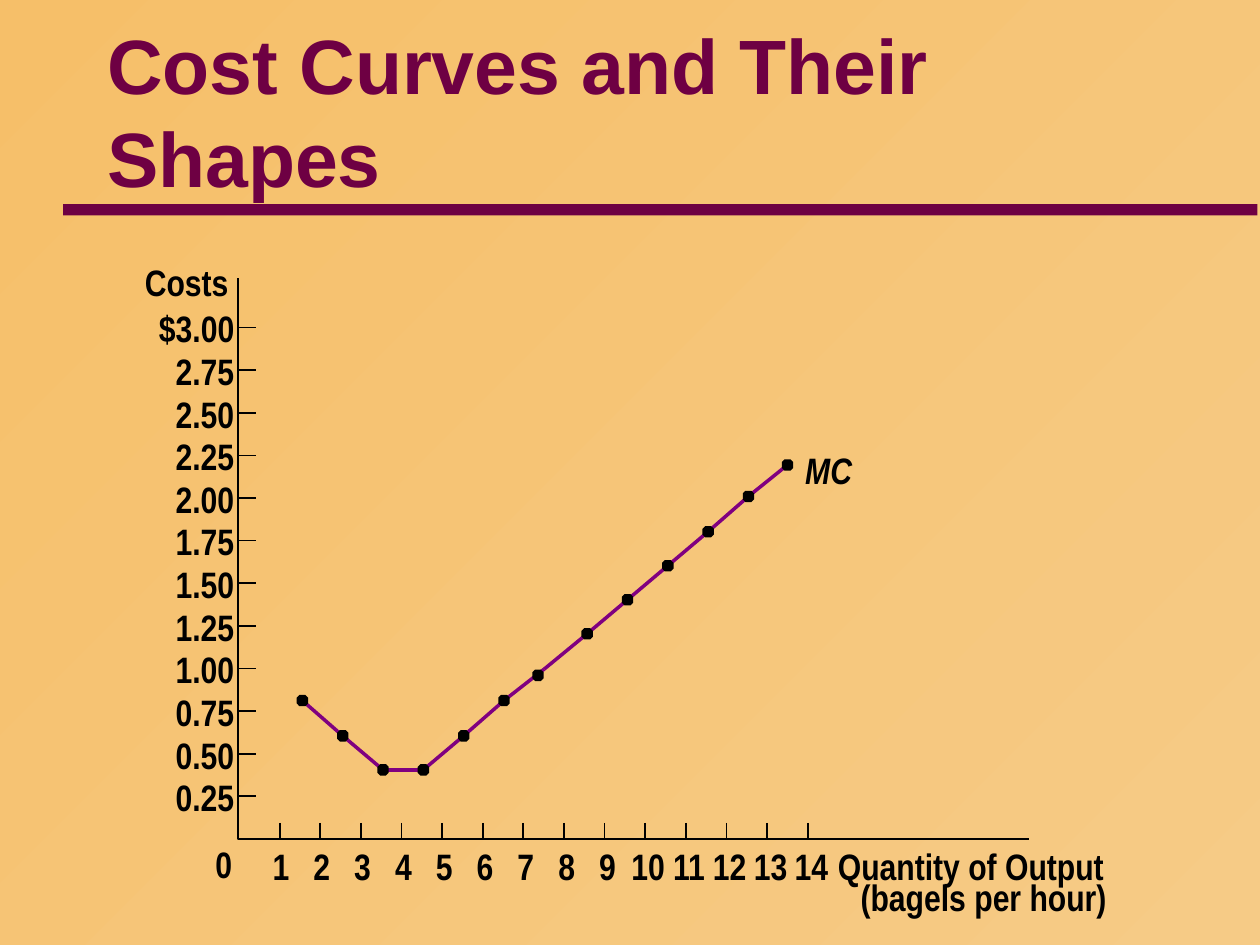
from itertools import pairwise

from lxml.etree import SubElement
from pptx import Presentation
from pptx.dml.color import RGBColor
from pptx.enum.shapes import MSO_CONNECTOR, MSO_SHAPE
from pptx.enum.text import MSO_ANCHOR, MSO_AUTO_SIZE, PP_ALIGN
from pptx.oxml.ns import qn
from pptx.util import Inches, Pt

PLUM = RGBColor(0x6E, 0x00, 0x43)
PURPLE = RGBColor(0x80, 0x00, 0x80)
BLACK = RGBColor(0x00, 0x00, 0x00)
SAND = RGBColor(0xF6, 0xCB, 0x86)
AMBER = RGBColor(0xF6, 0xBF, 0x69)

LEFT, BASE = 1.89, 6.66  # origin of the axes
TICK = 0.13
COSTS = ["$3.00", "2.75", "2.50", "2.25", "2.00", "1.75",
         "1.50", "1.25", "1.00", "0.75", "0.50", "0.25"]
CURVE = [(2.4, 5.56), (2.72, 5.84), (3.04, 6.11), (3.36, 6.11), (3.68, 5.84),
         (4, 5.56), (4.32, 5.31), (4.66, 5.03), (4.98, 4.76), (5.3, 4.49),
         (5.62, 4.22), (5.94, 3.94), (6.25, 3.69)]
DOTS = [(4.27, 5.36) if spot == (4.32, 5.31) else spot for spot in CURVE]


def style(frame, text, size=21, font="Arial Narrow", color=BLACK,
          italic=False, align=PP_ALIGN.LEFT):
    frame.text = text
    para = frame.paragraphs[0]
    para.alignment = align
    face = para.runs[0].font
    face.name, face.size = font, Pt(size)
    face.bold, face.italic = True, italic
    face.color.rgb = color


def add_label(slide, text, left, top, width, **look):
    box = slide.shapes.add_textbox(
        Inches(left), Inches(top), Inches(width), Inches(0.35))
    frame = box.text_frame
    frame.margin_left = frame.margin_right = 0
    frame.margin_top = frame.margin_bottom = 0
    frame.word_wrap = False
    frame.auto_size = MSO_AUTO_SIZE.NONE
    style(frame, text, **look)


def add_line(slide, start, end, color=BLACK, width=1):
    line = slide.shapes.add_connector(
        MSO_CONNECTOR.STRAIGHT, *map(Inches, (*start, *end)))
    line.line.color.rgb = color
    line.line.width = Pt(width)
    SubElement(line._element.spPr, qn("a:effectLst"))


def add_outline(slide, spots, close):
    first, *rest = [(Inches(x), Inches(y)) for x, y in spots]
    pen = slide.shapes.build_freeform(*first)
    pen.add_line_segments(rest, close=close)
    shape = pen.convert_to_shape()
    shape.shadow.inherit = False
    return shape


def add_dot(slide, x, y):
    """Draw a small octagon centred on a data point."""
    far, near = 0.045, 0.023
    ring = [(near, -far), (far, -near), (far, near), (near, far),
            (-near, far), (-far, near), (-far, -near), (-near, -far)]
    dot = add_outline(slide, [(x + dx, y + dy) for dx, dy in ring], True)
    dot.fill.solid()
    dot.fill.fore_color.rgb = BLACK
    dot.line.fill.background()


def add_title(slide):
    title = slide.shapes.title
    title.left, title.top = Inches(0.75), Inches(0.25)
    title.width, title.height = Inches(8.5), Inches(1.25)
    frame = title.text_frame
    frame.vertical_anchor = MSO_ANCHOR.MIDDLE
    frame.auto_size = MSO_AUTO_SIZE.NONE
    style(frame, "Cost Curves and Their Shapes",
          size=44, font="Arial", color=PLUM)

    rule = slide.shapes.add_shape(
        MSO_SHAPE.RECTANGLE, Inches(0.5), Inches(1.62),
        Inches(9.48), Inches(0.09))
    rule.shadow.inherit = False
    rule.fill.solid()
    rule.fill.fore_color.rgb = PLUM
    rule.line.fill.background()


def add_axes(slide):
    axes = add_outline(slide, [(LEFT, 2.21), (LEFT, BASE), (8.17, BASE)], False)
    axes.fill.background()
    axes.line.color.rgb = BLACK
    axes.line.width = Pt(1)

    for i, cost in enumerate(COSTS):
        y = 2.6 + i * 3.72 / 11
        add_line(slide, (1.9, y), (1.9 + TICK, y))
        width = 0.64 if cost.startswith("$") else 0.5
        add_label(slide, cost, 1.86 - width, y - 0.17, width,
                  align=PP_ALIGN.RIGHT)

    for i in range(14):
        x = 2.22 + i * 4.19 / 13
        add_line(slide, (x, BASE - TICK), (x, BASE))
        count = str(i + 1)
        width = 0.15 * len(count)
        mid = 2.23 + i * 4.21 / 13
        add_label(slide, count, mid - width / 2, 6.7, width,
                  align=PP_ALIGN.CENTER)

    add_label(slide, "0", 1.71, 6.68, 0.15)
    add_label(slide, "Costs", 1.15, 2.06, 0.73)
    add_label(slide, "Quantity of Output", 6.65, 6.7, 2.2)
    add_label(slide, "(bagels per hour)", 6.83, 6.94, 2.05)


def add_curve(slide):
    for start, end in pairwise(CURVE):
        add_line(slide, start, end, color=PURPLE, width=2)
    for x, y in DOTS:
        add_dot(slide, x, y)
    add_label(slide, "MC", 6.39, 3.55, 0.42, italic=True)


def paint_back(slide):
    fill = slide.background.fill
    fill.gradient()
    fill.gradient_angle = 135
    for stop, color in zip(fill.gradient_stops, (SAND, AMBER)):
        stop.color.rgb = color


def main():
    deck = Presentation()
    deck.slide_width, deck.slide_height = Inches(10), Inches(7.5)
    slide = deck.slides.add_slide(deck.slide_layouts[5])
    paint_back(slide)
    add_title(slide)
    add_axes(slide)
    add_curve(slide)
    deck.save("out.pptx")


if __name__ == "__main__":
    main()
